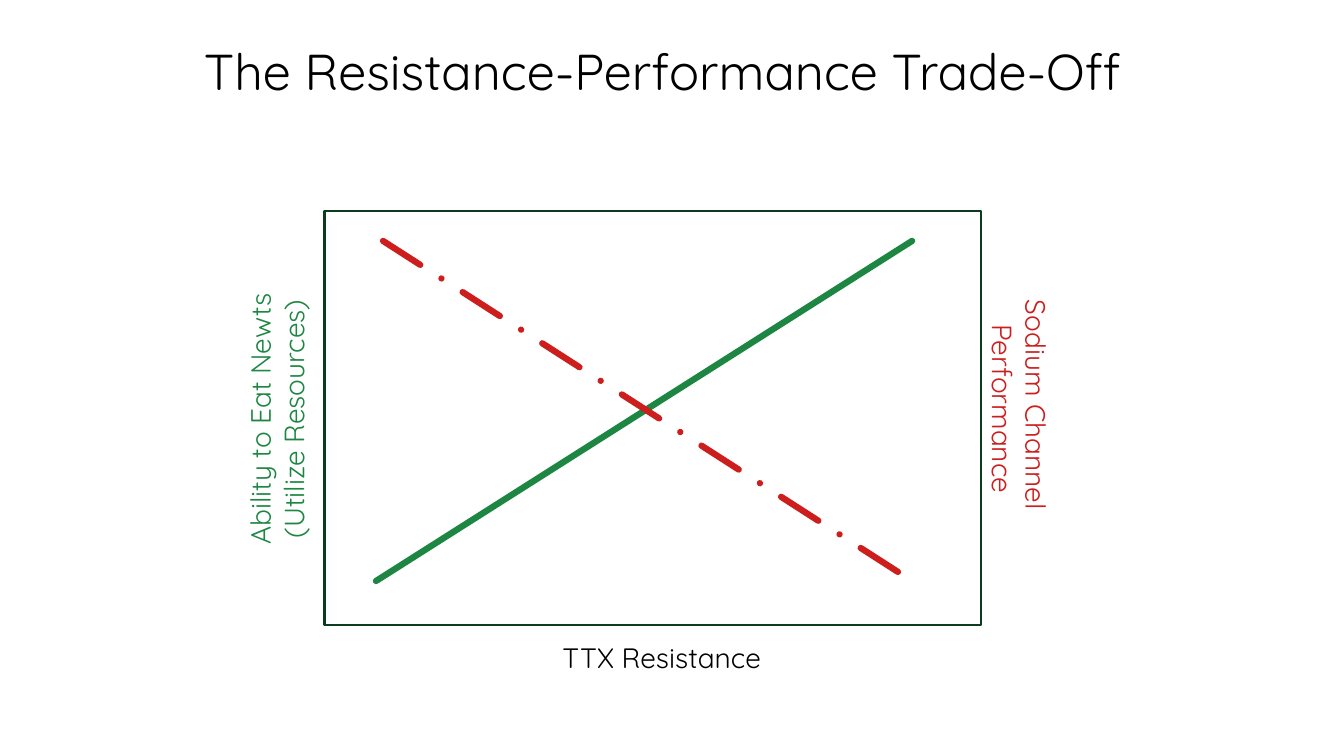
from dataclasses import dataclass

from lxml import etree
from pptx import Presentation
from pptx.dml.color import RGBColor
from pptx.enum import dml, shapes, text
from pptx.oxml import ns
from pptx.util import Pt


@dataclass(frozen=True)
class Theme:
    font: str = "Quicksand"
    ink: str = "000000"
    edge: str = "0C3B1D"
    green: str = "1C8642"
    red: str = "CC1E1D"
    head: int = 36
    label: int = 20
    thin: float = 1.5
    thick: float = 4.5


THEME = Theme()


def write(frame, lines, size=THEME.label, color=THEME.ink,
          anchor=text.MSO_ANCHOR.TOP):
    """Fill a text frame with centred lines in the theme font."""
    frame.word_wrap = True
    frame.auto_size = text.MSO_AUTO_SIZE.NONE
    frame.vertical_anchor = anchor
    for i, line in enumerate(lines):
        par = frame.paragraphs[0] if i == 0 else frame.add_paragraph()
        par.alignment = text.PP_ALIGN.CENTER
        run = par.add_run()
        run.text = line
        run.font.name = THEME.font
        run.font.size = Pt(size)
        run.font.color.rgb = RGBColor.from_string(color)


def title(slide, box, words):
    """Move and fill the title placeholder."""
    head = slide.shapes.title
    head.left, head.top, head.width, head.height = map(Pt, box)
    write(head.text_frame, [words], size=THEME.head)


def label(slide, mid, lines, color=THEME.ink, turn=0):
    """Place an axis label centred on a point, turned about it."""
    wide, high = 408, 7.5 + 24 * len(lines)
    box = slide.shapes.add_textbox(
        Pt(mid[0] - wide / 2), Pt(mid[1] - high / 2), Pt(wide), Pt(high))
    box.rotation = turn
    write(box.text_frame, lines, color=color)


def trend(slide, start, end, color, dash=None):
    """Draw a thick trend line with round ends."""
    line = slide.shapes.add_connector(
        shapes.MSO_CONNECTOR.STRAIGHT, *map(Pt, (*start, *end)))
    line.line.color.rgb = RGBColor.from_string(color)
    line.line.width = Pt(THEME.thick)
    if dash:
        line.line.dash_style = dash
    props = line._element.spPr
    props.find(ns.qn("a:ln")).set("cap", "rnd")
    etree.SubElement(props, ns.qn("a:effectLst"))


def plot(slide, box):
    """Draw the framed plot with its labels and two trends."""
    x, y, w, h = box

    # Frame
    frame = slide.shapes.add_shape(
        shapes.MSO_SHAPE.RECTANGLE, *map(Pt, box))
    frame.shadow.inherit = False
    frame.fill.background()
    frame.line.color.rgb = RGBColor.from_string(THEME.edge)
    frame.line.width = Pt(THEME.thin)

    # Axis labels
    label(slide, (x + w / 2 + 6.5, y + h + 23), ["TTX Resistance"])
    label(slide, (x + w + 27.7, y + h / 2 - 6.5),
          ["Sodium Channel ", "Performance"], color=THEME.red, turn=90)
    label(slide, (x - 34.2, y + h / 2 + 0.7),
          ["Ability to Eat Newts", "(Utilize Resources)"],
          color=THEME.green, turn=270)

    # Rising and falling trends
    right, top, low = x + w - 49, y + 21.6, y + h - 31.5
    trend(slide, (x + 36.8, low), (right, top), THEME.green)
    trend(slide, (x + 41.8, top), (right, low), THEME.red,
          dash=dml.MSO_LINE.LONG_DASH_DOT)


def main():
    deck = Presentation()
    deck.slide_width, deck.slide_height = Pt(960), Pt(540)
    slide = deck.slides.add_slide(deck.slide_layouts[5])
    title(slide, (57, 25.2, 832, 110), "The Resistance-Performance Trade-Off")
    plot(slide, (231.8, 150.5, 468.7, 296))
    deck.save("out.pptx")


if __name__ == "__main__":
    main()
